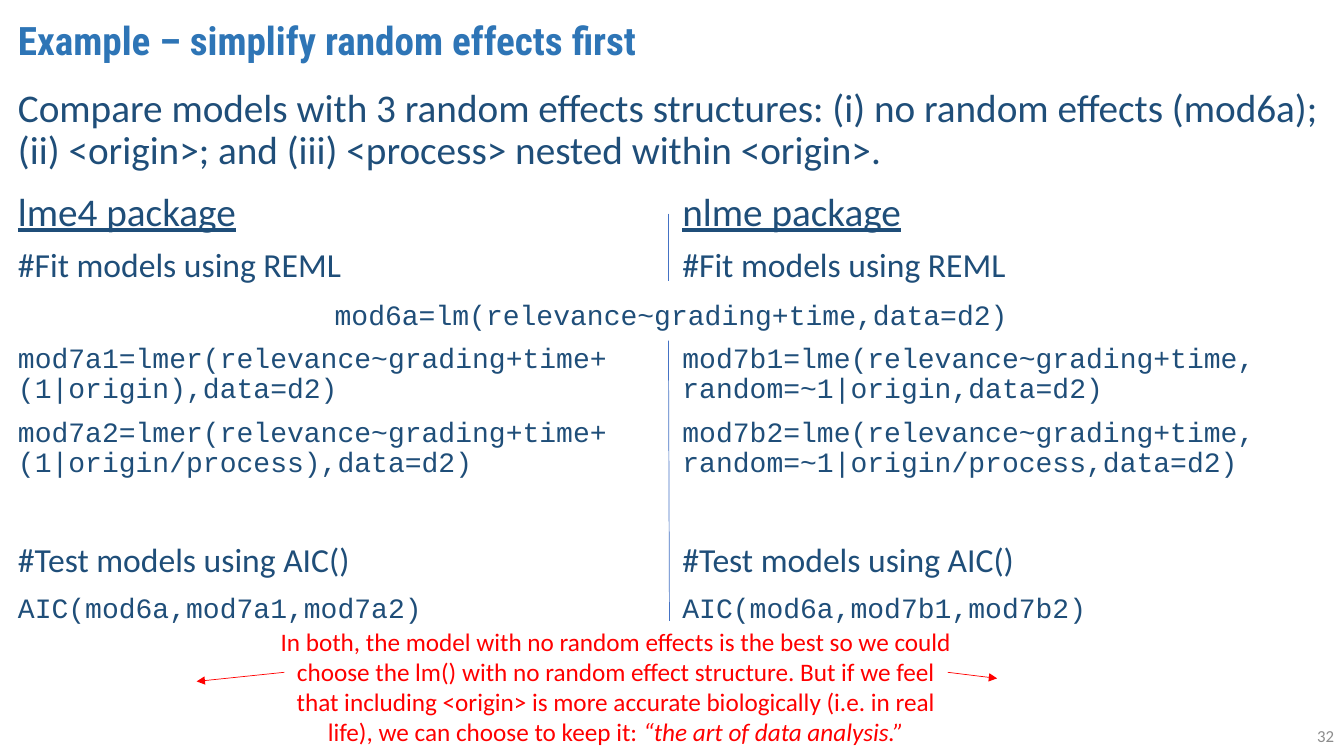
from lxml.etree import SubElement
from pptx import Presentation
from pptx.dml.color import RGBColor
from pptx.enum.shapes import MSO_CONNECTOR
from pptx.enum.text import MSO_ANCHOR, PP_ALIGN
from pptx.oxml.ns import qn
from pptx.util import Inches, Pt

NAVY = "1F4E79"
BLUE = "2E75B6"
DIVIDER = "4472C4"
RED = "FF0000"
GREY = "8C8C8C"
SANS = "Calibri"
MONO = "Courier New"


def color(value):
    return RGBColor.from_string(value)


def format_runs(paragraph, size, font_name, hex_color):
    for run in paragraph.runs:
        run.font.size = Pt(size)
        run.font.name = font_name
        run.font.color.rgb = color(hex_color)


def add_text_frame(slide, box, anchor=MSO_ANCHOR.TOP):
    shape = slide.shapes.add_textbox(*(Inches(value) for value in box))
    text_frame = shape.text_frame
    text_frame.word_wrap = True
    text_frame.vertical_anchor = anchor
    return text_frame


def add_body(slide, box, lines):
    text_frame = add_text_frame(slide, box)
    text_frame.text = "\n".join(line[0] for line in lines)
    for paragraph, (_, size, font_name, space) in zip(text_frame.paragraphs, lines):
        paragraph.line_spacing = 0.9
        paragraph.space_before = Pt(space)
        format_runs(paragraph, size, font_name, NAVY)
    return text_frame


def add_line(slide, start, end, hex_color, arrow=False):
    points = [Inches(value) for value in (*start, *end)]
    connector = slide.shapes.add_connector(MSO_CONNECTOR.STRAIGHT, *points)
    connector.line.color.rgb = color(hex_color)
    connector.line.width = Pt(0.5)
    if arrow:
        SubElement(connector.line._get_or_add_ln(), qn("a:tailEnd"), type="triangle")
    SubElement(connector._element.spPr, qn("a:effectLst"))


def add_title(slide, box):
    paragraph = add_text_frame(slide, box, MSO_ANCHOR.MIDDLE).paragraphs[0]
    paragraph.text = "Example – simplify random effects first"
    paragraph.line_spacing = 0.9
    format_runs(paragraph, 28, "Roboto Condensed", BLUE)
    paragraph.runs[0].font.bold = True


def add_introduction(slide, box):
    text_frame = add_body(slide, box, [
        ("Compare models with 3 random effects structures: (i) no random effects "
         "(mod6a); (ii) <origin>; and (iii) <process> nested within <origin>.", 28, SANS, 10),
        ("mod6a=lm(relevance~grading+time,data=d2)", 20, MONO, 91.5),
    ])
    text_frame.paragraphs[1].alignment = PP_ALIGN.CENTER


def add_package_column(slide, box, package, models, comparison):
    simple_model, nested_model = models
    text_frame = add_body(slide, box, [
        (f"{package} package", 28, SANS, 10),
        ("#Fit models using REML", 24, SANS, 10),
        (simple_model, 20, MONO, 42),
        (nested_model, 20, MONO, 10),
        ("#Test models using AIC()", 24, SANS, 46.5),
        (comparison, 20, MONO, 10),
    ])
    text_frame.paragraphs[0].runs[0].font.underline = True


def add_conclusion(slide, box):
    left, top, width, _ = box
    paragraph = add_text_frame(slide, box).paragraphs[0]
    paragraph.text = (
        "In both, the model with no random effects is the best so we could choose "
        "the lm() with no random effect structure. But if we feel that including "
        "<origin> is more accurate biologically (i.e. in real life), we can choose "
        "to keep it: ")
    quote = paragraph.add_run()
    quote.text = "“the art of data analysis.”"
    quote.font.italic = True
    paragraph.alignment = PP_ALIGN.CENTER
    format_runs(paragraph, 18, SANS, RED)
    arrow_top = top + 0.51
    right = left + width
    add_line(slide, (left + 0.14, arrow_top), (left - 0.73, arrow_top + 0.09), RED, True)
    add_line(slide, (right - 0.14, arrow_top), (right + 0.35, arrow_top + 0.06), RED, True)


def add_page_number(slide, box):
    paragraph = add_text_frame(slide, box, MSO_ANCHOR.MIDDLE).paragraphs[0]
    paragraph.text = "32"
    paragraph.alignment = PP_ALIGN.RIGHT
    format_runs(paragraph, 12, SANS, GREY)


def main():
    presentation = Presentation()
    presentation.slide_width = Inches(13.33)
    presentation.slide_height = Inches(7.5)
    slide = presentation.slides.add_slide(presentation.slide_layouts[6])

    add_title(slide, (0.08, 0.12, 13.16, 0.6))
    add_introduction(slide, (0.08, 0.83, 13.16, 2.54))
    add_package_column(
        slide, (0.08, 1.86, 6.17, 5.62), "lme4",
        ("mod7a1=lmer(relevance~grading+time+(1|origin),data=d2)",
         "mod7a2=lmer(relevance~grading+time+(1|origin/process),data=d2)"),
        "AIC(mod6a,mod7a1,mod7a2)")
    add_package_column(
        slide, (6.67, 1.86, 5.96, 5.62), "nlme",
        ("mod7b1=lme(relevance~grading+time,random=~1|origin,data=d2)",
         "mod7b2=lme(relevance~grading+time,random=~1|origin/process,data=d2)"),
        "AIC(mod6a,mod7b1,mod7b2)")
    add_line(slide, (6.63, 2.12), (6.63, 2.79), DIVIDER)
    add_line(slide, (6.63, 3.38), (6.64, 6.16), DIVIDER)
    add_conclusion(slide, (2.68, 6.16, 6.86, 1.31))
    add_page_number(slide, (10.33, 7.1, 3, 0.4))

    presentation.save("out.pptx")


if __name__ == "__main__":
    main()
